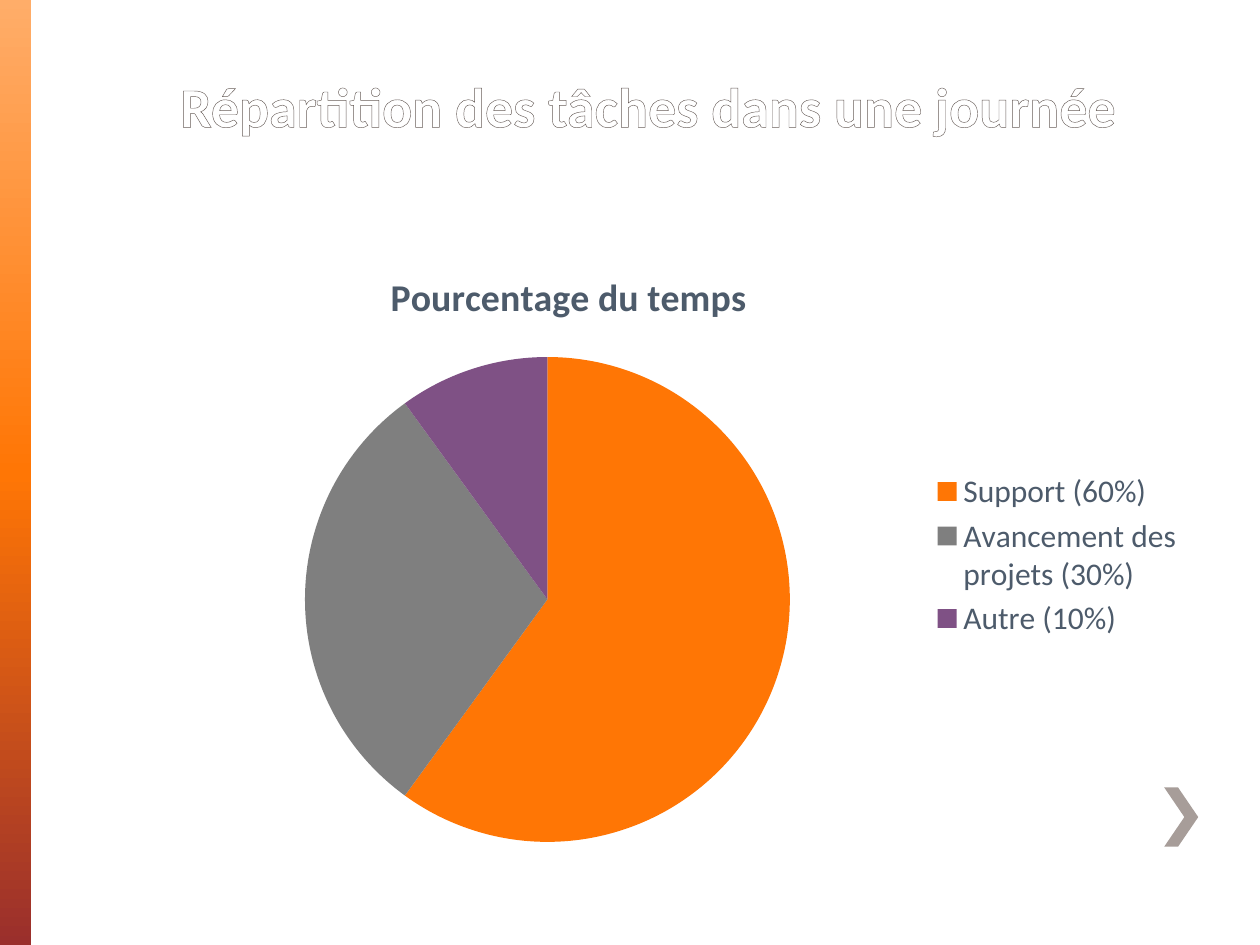
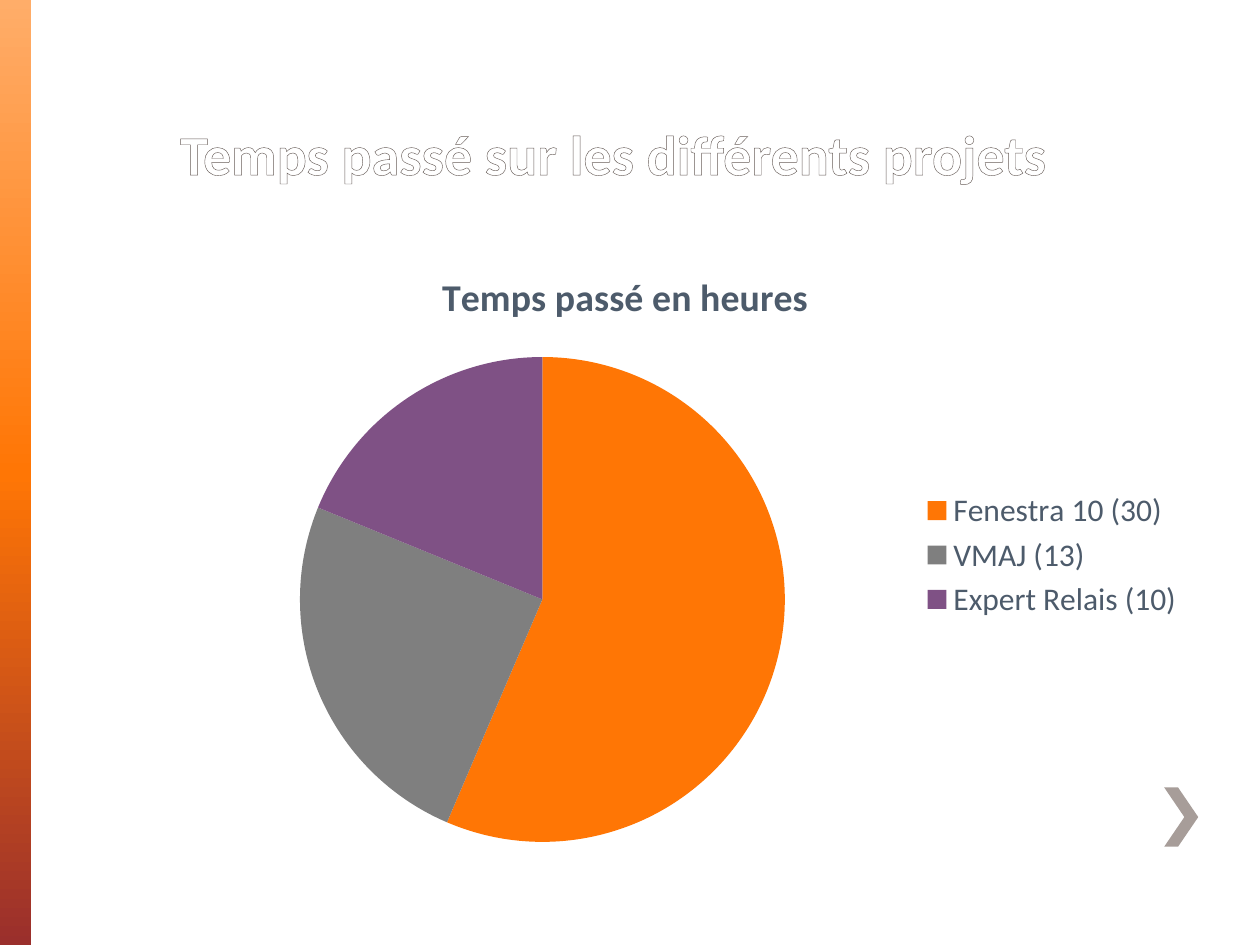
import copy
from dataclasses import dataclass

import lxml.etree
import pptx
import pptx.chart.data
import pptx.dml.color
import pptx.enum.chart
import pptx.enum.shapes
import pptx.enum.text
import pptx.oxml.ns
import pptx.util

Inches = pptx.util.Inches
qn = pptx.oxml.ns.qn


@dataclass(frozen=True)
class Theme:
    font: str = "Calibri"
    title_color: str = "FFFFFF"
    title_outline: str = "675D59"
    chart_text: str = "4D5B6B"
    chevron: str = "A79D99"
    band: tuple = ((0, "FFAD69"), (0.5, "FF7605"), (1, "9A2F2C"))
    slices: tuple = ("FF7605", "7F7F7F", "7F5185")
    title_size: float = 32
    chart_title_size: float = 21.6
    chart_size: float = 18


def rgb(value):
    return pptx.dml.color.RGBColor.from_string(value)


def style_font(font, *, name, size, color, bold=False):
    font.name = name
    font.size = pptx.util.Pt(size)
    font.bold = bold
    font.color.rgb = rgb(color)


def write_text(frame, text, *, outline=None, **style):
    para = frame.paragraphs[0]
    span = para.add_run()
    span.text = text
    style_font(span.font, **style)
    if outline:
        properties = span.font._element
        line = lxml.etree.Element(qn("a:ln"), w=str(pptx.util.Pt(1)))
        fill = lxml.etree.SubElement(line, qn("a:solidFill"))
        lxml.etree.SubElement(fill, qn("a:srgbClr"), val=outline)
        properties.insert(0, line)
    return para


class PageBuilder:
    def __init__(self, deck, theme):
        self.deck = deck
        self.theme = theme
        self.page = None

    def start_page(self, title, title_height):
        self.page = self.deck.slides.add_slide(self.deck.slide_layouts[5])
        self.add_band()
        self.add_chevron()
        self.add_title(title, title_height)

    def add_band(self):
        band = self.page.shapes.add_shape(
            pptx.enum.shapes.MSO_SHAPE.RECTANGLE,
            0, 0, Inches(0.25), self.deck.slide_height)
        band.shadow.inherit = False
        band.line.fill.background()
        band.fill.gradient()
        band.fill.gradient_angle = 270
        stop_list = band._element.spPr.find(qn("a:gradFill")).find(qn("a:gsLst"))
        stop_list.append(copy.deepcopy(stop_list[-1]))
        for stop, (position, color) in zip(band.fill.gradient_stops, self.theme.band):
            stop.position = position
            stop.color.rgb = rgb(color)

    def add_chevron(self):
        left, top, width, height, thickness = 9.24, 6.25, 0.27, 0.47, 0.11
        right, middle, bottom = left + width, top + height / 2, top + height
        outline = self.page.shapes.build_freeform(
            Inches(left), Inches(top), scale=1.0)
        corners = [(left + thickness, top), (right, middle),
                   (left + thickness, bottom), (left, bottom),
                   (right - thickness, middle)]
        outline.add_line_segments([(Inches(x), Inches(y)) for x, y in corners])
        chevron = outline.convert_to_shape()
        chevron.shadow.inherit = False
        chevron.fill.solid()
        chevron.fill.fore_color.rgb = rgb(self.theme.chevron)
        chevron.line.fill.background()

    def add_title(self, text, height):
        box = self.page.shapes.title
        box.left, box.top = Inches(1.33), Inches(0.28)
        box.width, box.height = Inches(7.92), Inches(height)
        frame = box.text_frame
        frame.word_wrap = True
        frame.vertical_anchor = pptx.enum.text.MSO_ANCHOR.BOTTOM
        para = write_text(
            frame, text, name=self.theme.font, size=self.theme.title_size,
            color=self.theme.title_color, bold=True,
            outline=self.theme.title_outline)
        para.alignment = pptx.enum.text.PP_ALIGN.LEFT

    def add_pie(self, title, shares, title_x):
        theme = self.theme
        data = pptx.chart.data.CategoryChartData()
        data.categories = list(shares)
        data.add_series(title, list(shares.values()))
        chart = self.page.shapes.add_chart(
            pptx.enum.chart.XL_CHART_TYPE.PIE, Inches(1.33), Inches(1.99),
            Inches(8.17), Inches(4.83), data).chart
        style_font(chart.font, name=theme.font, size=theme.chart_size,
                   color=theme.chart_text)
        chart.has_title = True
        write_text(chart.chart_title.text_frame, title, name=theme.font,
                   size=theme.chart_title_size, color=theme.chart_text, bold=True)
        self.place_chart_title(chart.chart_title, title_x, 0.02)
        chart.has_legend = True
        chart.legend.position = pptx.enum.chart.XL_LEGEND_POSITION.RIGHT
        chart.legend.include_in_layout = False
        plot = chart.plots[0]
        plot.vary_by_categories = True
        for index, color in enumerate(theme.slices):
            slice_format = plot.series[0].points[index].format
            slice_format.fill.solid()
            slice_format.fill.fore_color.rgb = rgb(color)
            slice_format.line.fill.background()

    def place_chart_title(self, chart_title, x, y):
        element = chart_title._element
        layout = element.find(qn("c:layout"))
        if layout is None:
            layout = lxml.etree.Element(qn("c:layout"))
            element.find(qn("c:tx")).addnext(layout)
        manual = lxml.etree.SubElement(layout, qn("c:manualLayout"))
        for tag, value in (("xMode", "edge"), ("yMode", "edge"), ("x", x), ("y", y)):
            lxml.etree.SubElement(manual, qn(f"c:{tag}"), val=str(value))


def main():
    deck = pptx.Presentation()
    deck.slide_width, deck.slide_height = Inches(10), Inches(7.5)
    builder = PageBuilder(deck, Theme())

    builder.start_page("Répartition des tâches dans une journée", 0.87)
    builder.add_pie(
        "Pourcentage du temps",
        {"Support (60%)": 60, "Avancement des projets (30%)": 30, "Autre (10%)": 10},
        title_x=0.21)

    builder.start_page("Temps passé sur les différents projets", 1.25)
    builder.add_pie(
        "Temps passé en heures",
        {"Fenestra 10 (30)": 57, "VMAJ (13)": 25, "Expert Relais (10)": 19},
        title_x=0.26)

    deck.save("out.pptx")


if __name__ == "__main__":
    main()
